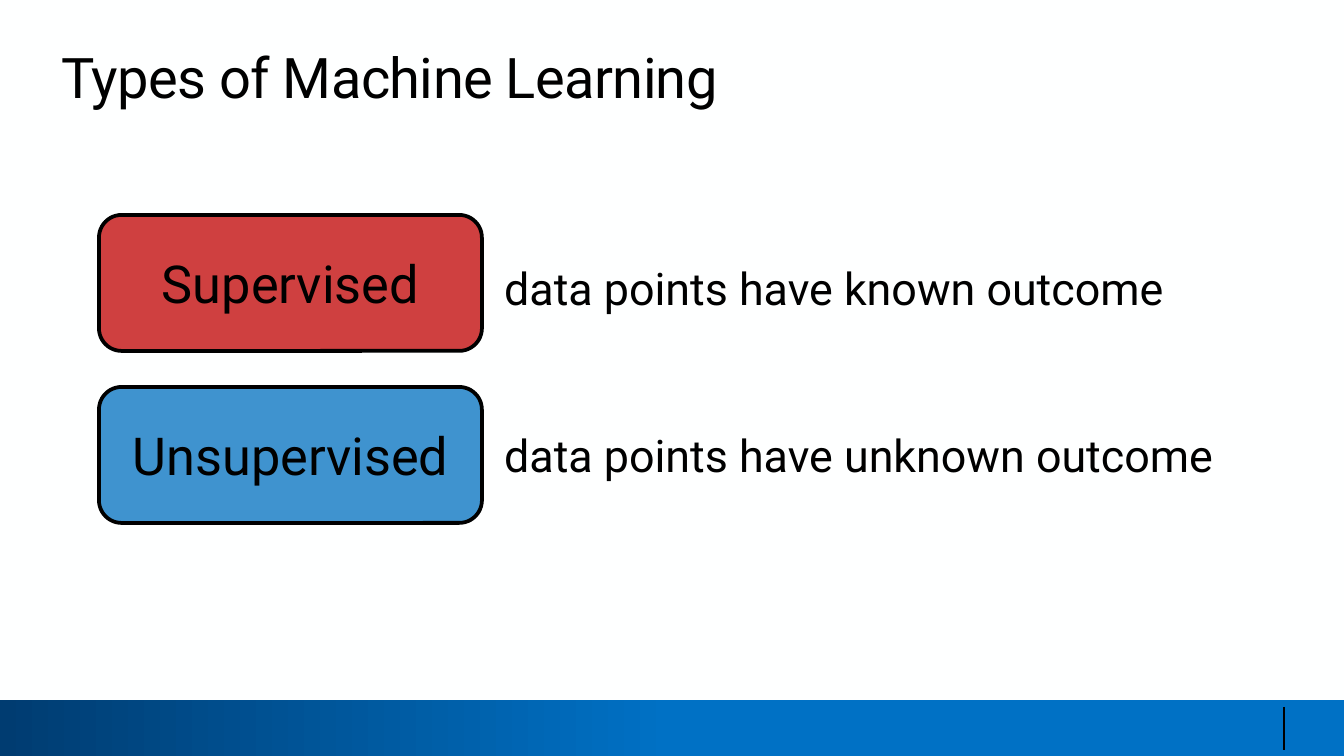
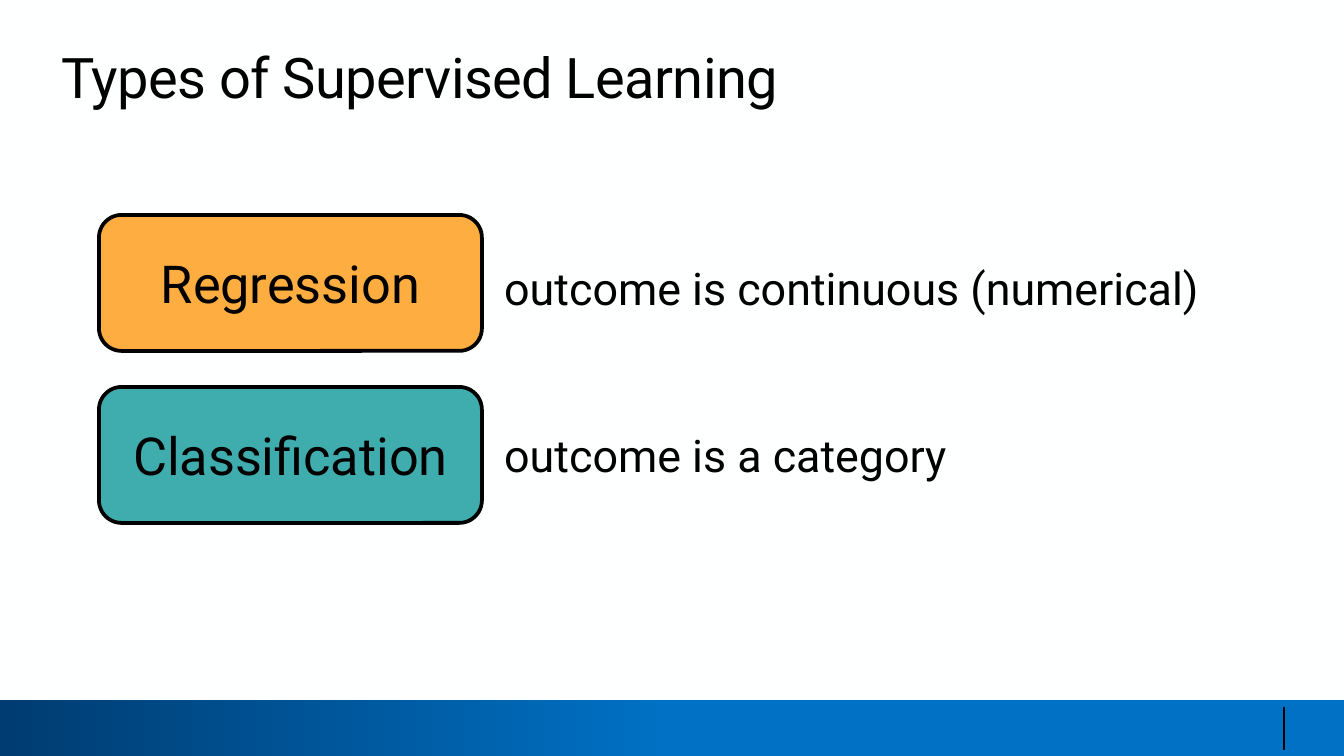
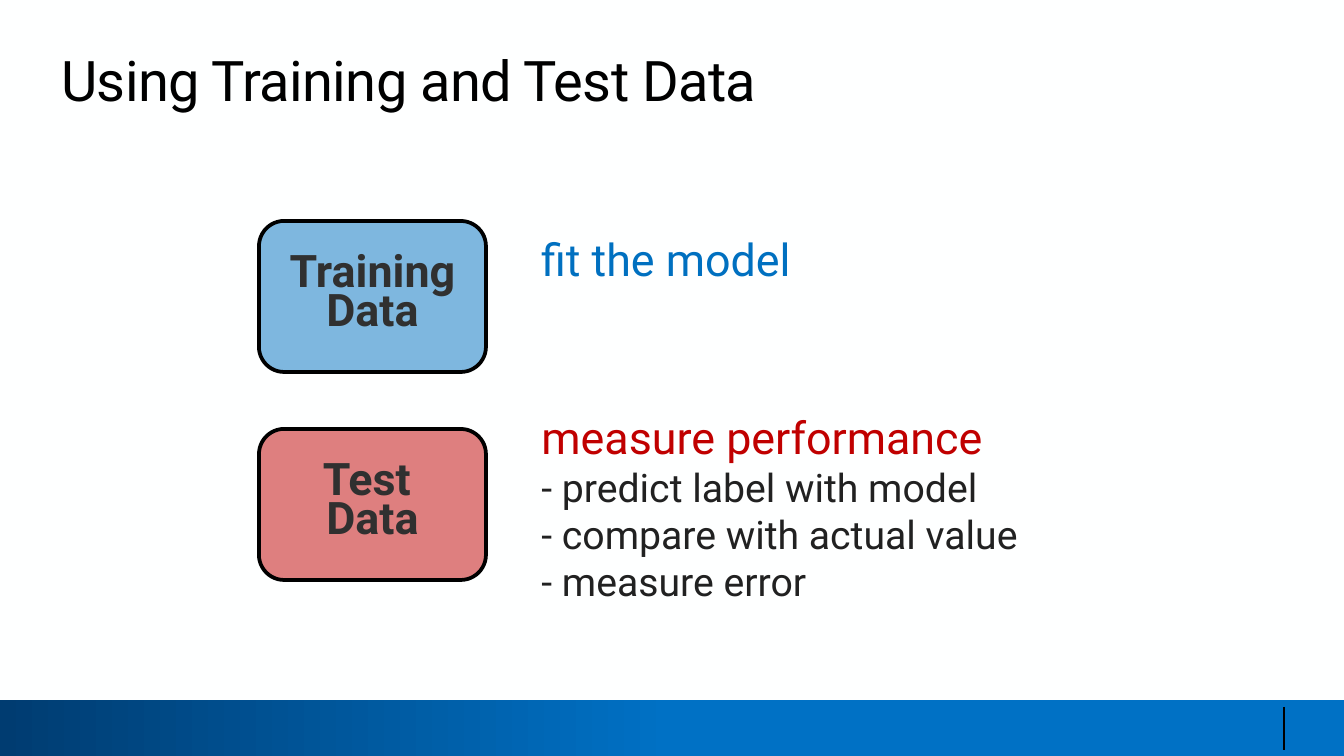
from dataclasses import dataclass
from typing import NamedTuple, Optional

from lxml import etree
from pptx import Presentation
from pptx import util as u
from pptx.dml.color import RGBColor
from pptx.enum import shapes, text
from pptx.oxml.ns import qn

SCALE = u.Inches(10) / 1344
FONT = "Roboto"
TITLE_ONLY, TITLE_AND_BODY = 5, 1

COLORS = {
    "paper": "FEFFFF",
    "black": "000000",
    "navy": "003C71",
    "band": "0071C5",
    "blue": "0070C0",
    "red": "C00000",
    "orange": "FF9300",
    "teal": "009193",
    "charcoal": "303030",
    "ink": "212121",
}


class Frame(NamedTuple):
    left: int
    top: int
    width: int
    height: int


@dataclass
class Line:
    text: str
    size: int
    color: str = "black"
    bold: bool = False


@dataclass
class Card:
    frame: Frame
    fill: str
    opacity: int
    lines: list[Line]
    spacing: Optional[u.Pt] = None


@dataclass
class Category:
    name: str
    color: str
    meaning: str


def px(n: int) -> u.Emu:
    return u.Emu(round(n * SCALE))


def rgb(name: str) -> RGBColor:
    return RGBColor.from_string(COLORS[name])


def place(sp, frame: Frame) -> None:
    sp.left, sp.top, sp.width, sp.height = map(px, frame)


def write(tf, lines: list[Line], align=text.PP_ALIGN.LEFT, spacing=None) -> None:
    tf.word_wrap = True
    tf.text = "\n".join(line.text for line in lines)
    for p, line in zip(tf.paragraphs, lines):
        p.alignment = align
        p.space_before = u.Pt(0)
        if spacing:
            p.line_spacing = spacing
        for r in p.runs:
            r.font.name = FONT
            r.font.size = u.Pt(line.size)
            r.font.bold = line.bold
            r.font.color.rgb = rgb(line.color)


def set_margins(tf, left: int, top: int, right: int, bottom: int) -> None:
    tf.margin_left, tf.margin_top = px(left), px(top)
    tf.margin_right, tf.margin_bottom = px(right), px(bottom)


def add_footer_to_master(prs, slide) -> None:
    """Draw the band and its rule on a slide, then move them to the master."""
    band = slide.shapes.add_shape(
        shapes.MSO_SHAPE.RECTANGLE, px(0), px(700), px(1344), px(56))
    band.shadow.inherit = False
    band.line.fill.background()
    band.fill.gradient()
    band.fill.gradient_angle = 0
    for stop, color, position in zip(
            band.fill.gradient_stops, ("navy", "band"), (0, 0.5)):
        stop.color.rgb = rgb(color)
        stop.position = position

    rule = slide.shapes.add_connector(
        shapes.MSO_CONNECTOR.STRAIGHT, px(1284), px(707), px(1284), px(750))
    rule.line.color.rgb = rgb("black")
    rule.line.width = u.Pt(0.75)
    etree.SubElement(rule.element.spPr, qn("a:effectLst"))

    for shape_id, sp in enumerate((band, rule), start=101):
        sp.element.xpath(".//p:cNvPr")[0].set("id", str(shape_id))
        prs.slide_master.shapes.element.append(sp.element)


def add_slide(prs, title: str, layout: int = TITLE_ONLY, title_top: int = 43):
    slide = prs.slides.add_slide(prs.slide_layouts[layout])
    sp = slide.shapes.title
    place(sp, Frame(59, title_top, 1241, 67))
    tf = sp.text_frame
    set_margins(tf, 0, 0, 0, 0)
    tf.vertical_anchor = text.MSO_ANCHOR.TOP
    tf.auto_size = text.MSO_AUTO_SIZE.SHAPE_TO_FIT_TEXT
    write(tf, [Line(title, 30)])
    p = tf.paragraphs[0]
    p._p.get_or_add_pPr().set("marL", str(px(2)))
    p.runs[0].font._element.set("spc", "-30")
    return slide


def add_card(slide, card: Card) -> None:
    sp = slide.shapes.add_shape(
        shapes.MSO_SHAPE.ROUNDED_RECTANGLE, *map(px, card.frame))
    sp.shadow.inherit = False
    sp.fill.solid()
    sp.fill.fore_color.rgb = rgb(card.fill)
    color = sp.element.spPr.find(qn("a:solidFill"))[0]
    etree.SubElement(color, qn("a:alpha"), val=str(card.opacity * 1000))
    sp.line.color.rgb = rgb("black")
    sp.line.width = u.Pt(2)
    sp.text_frame.vertical_anchor = text.MSO_ANCHOR.MIDDLE
    write(sp.text_frame, card.lines, text.PP_ALIGN.CENTER, card.spacing)


def add_note(slide, frame: Frame, line: Line, spacing=None):
    tf = slide.shapes.add_textbox(*map(px, frame)).text_frame
    tf.auto_size = text.MSO_AUTO_SIZE.SHAPE_TO_FIT_TEXT
    write(tf, [line], spacing=spacing)
    return tf


def fill_body(slide, frame: Frame, lines: list[Line]) -> None:
    sp = slide.placeholders[1]
    place(sp, frame)
    sp.text_frame.auto_size = text.MSO_AUTO_SIZE.SHAPE_TO_FIT_TEXT
    write(sp.text_frame, lines)
    for p in sp.text_frame.paragraphs:
        pPr = p._p.get_or_add_pPr()
        pPr.set("marL", "0")
        pPr.set("indent", "0")
        etree.SubElement(pPr, qn("a:buNone"))


def add_category_slide(prs, title: str, categories: list[Category]):
    slide = add_slide(prs, title)
    for i, category in enumerate(categories):
        add_card(slide, Card(Frame(99, 215 + 172 * i, 383, 136), category.color,
                             75, [Line(category.name, 28)]))
        add_note(slide, Frame(491, 227 + 167 * i, 775, 95),
                 Line(category.meaning, 24), spacing=1.5)
    return slide


def add_data_slide(prs) -> None:
    slide = add_slide(prs, "Using Training and Test Data", TITLE_AND_BODY, 46)
    cards = [("Training", "blue"), ("Test ", "red")]
    for i, (name, color) in enumerate(cards):
        lines = [Line(word, 24, "charcoal", True) for word in (name, "Data")]
        add_card(slide, Card(Frame(259, 221 + 208 * i, 227, 151), color, 50,
                             lines, u.Pt(21)))

    tf = add_note(slide, Frame(528, 211, 370, 85),
                  Line("fit the model", 24, "blue"))
    set_margins(tf, 13, 20, 13, 9)
    tf.vertical_anchor = text.MSO_ANCHOR.MIDDLE

    steps = ["predict label with model", "compare with actual value",
             "measure error"]
    fill_body(slide, Frame(528, 403, 551, 211),
              [Line("measure performance", 24, "red")]
              + [Line(f"- {step}", 21, "ink") for step in steps])


def main() -> None:
    prs = Presentation()
    prs.slide_width, prs.slide_height = px(1344), px(756)
    background = prs.slide_master.background.fill
    background.solid()
    background.fore_color.rgb = rgb("paper")

    first = add_category_slide(prs, "Types of Machine Learning", [
        Category("Supervised", "red", "data points have known outcome"),
        Category("Unsupervised", "blue", "data points have unknown outcome"),
    ])
    add_footer_to_master(prs, first)
    add_category_slide(prs, "Types of Supervised Learning", [
        Category("Regression", "orange", "outcome is continuous (numerical)"),
        Category("Classification", "teal", "outcome is a category"),
    ])
    add_data_slide(prs)
    prs.save("out.pptx")


if __name__ == "__main__":
    main()
